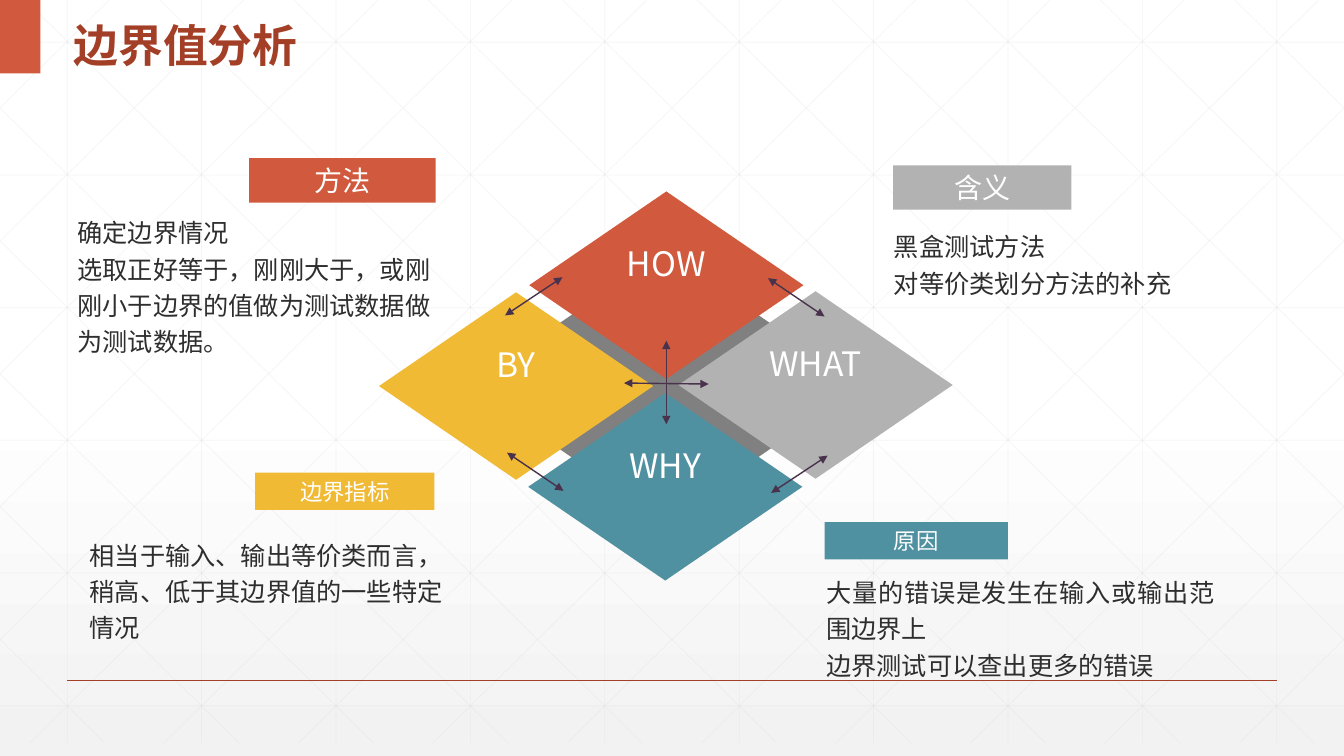
from copy import deepcopy
from dataclasses import dataclass

from lxml import etree
from pptx import Presentation
from pptx import util as u
from pptx.dml.color import RGBColor
from pptx.enum import shapes, text
from pptx.oxml.ns import qn

WIDTH, HEIGHT = 13.33, 7.5
RED, GOLD, GREY, TEAL = "D15A3E", "F0BA34", "B2B2B2", "4F91A1"
BRICK, WHITE, INK, PLUM = "A43F27", "FFFFFF", "2D2E2D", "49324C"
SANS, CJK = "Arial", "Noto Sans CJK SC"
RECT, DIAMOND = shapes.MSO_SHAPE.RECTANGLE, shapes.MSO_SHAPE.DIAMOND
LEFT, CENTER, JUSTIFY = text.PP_ALIGN.LEFT, text.PP_ALIGN.CENTER, text.PP_ALIGN.JUSTIFY
TOP, MIDDLE = text.MSO_ANCHOR.TOP, text.MSO_ANCHOR.MIDDLE


@dataclass
class Box:
    x: float
    y: float
    w: float
    h: float


@dataclass
class Style:
    size: int
    color: str
    font: str = CJK
    bold: bool = False
    align: int = CENTER
    anchor: int = MIDDLE
    spacing: float = 1.0


@dataclass
class Tag:
    label: str
    box: Box
    fill: str
    size: int


@dataclass
class Tile:
    label: str
    x: float
    y: float
    fill: str


@dataclass
class Note:
    lines: list[str]
    box: Box
    first_align: int = LEFT


TAGS = [
    Tag("方法", Box(18.53, 20.93, 13.88, 5.87), RED, 20),
    Tag("原因", Box(61.35, 69.07, 13.65, 4.93), TEAL, 16),
    Tag("含义", Box(66.45, 21.87, 13.28, 5.87), GREY, 20),
    Tag("边界指标", Box(18.98, 62.53, 13.35, 4.93), GOLD, 16),
]
TILE_W, TILE_H = 20.4, 24.8
CAPTION_W, CAPTION_H, CAPTION_DROP = 9.45, 6.67, 6.13
TILES = [
    Tile("BY", 28.2, 38.67, GOLD),
    Tile("HOW", 39.38, 25.33, RED),
    Tile("WHAT", 50.48, 38.53, GREY),
    Tile("WHY", 39.3, 52, TEAL),
]
NOTES = [
    Note(["黑盒测试方法", "对等价类划分方法的补充"], Box(65.78, 29.2, 27.68, 15.87)),
    Note(["大量的错误是发生在输入或输出范围边界上", "边界测试可以查出更多的错误"],
         Box(60.75, 74.93, 30.38, 20.8), JUSTIFY),
    Note(["相当于输入、输出等价类而言，稍高、低于其边界值的一些特定情况"],
         Box(5.93, 70, 27.98, 15.47)),
    Note(["确定边界情况", "选取正好等于，刚刚大于，或刚刚小于边界的值做为测试数据做为测试数据。"],
         Box(5.03, 27.33, 27.98, 23.73)),
]
ARROWS = [
    (57.38, 65.2, 61.58, 60.27),
    (37.58, 41.73, 41.85, 36.67),
    (37.73, 59.87, 41.93, 64.93),
    (57.15, 36.8, 61.35, 41.87),
    (46.43, 50.67, 52.73, 50.8),
    (49.58, 56.13, 49.58, 45.07),
]
MESH_BOTTOM, MESH_RUN = 98.27, 55.9


def rgb(color: str) -> RGBColor:
    return RGBColor.from_string(color)


def across(share: float) -> int:
    return u.Inches(WIDTH * share / 100)


def down(share: float) -> int:
    return u.Inches(HEIGHT * share / 100)


def place(box: Box) -> tuple[int, int, int, int]:
    return across(box.x), down(box.y), across(box.w), down(box.h)


def set_alpha(parent, percent: int) -> None:
    for clr in parent.iter(qn("a:srgbClr")):
        etree.SubElement(clr, qn("a:alpha")).set("val", str(percent * 1000))


def write(sp, lines: list[str], style: Style) -> None:
    tf = sp.text_frame
    tf.text = "\n".join(lines)
    tf.word_wrap = True
    tf.vertical_anchor = style.anchor
    for p in tf.paragraphs:
        p.alignment = style.align
        p.line_spacing = style.spacing
        for r in p.runs:
            r.font.name, r.font.size, r.font.bold = style.font, u.Pt(style.size), style.bold
            r.font.color.rgb = rgb(style.color)
            if style.font == CJK:
                etree.SubElement(r._r.get_or_add_rPr(), qn("a:ea")).set("typeface", CJK)


def add_block(s, kind: int, box: Box, fill: str):
    sp = s.shapes.add_shape(kind, *place(box))
    sp.shadow.inherit = False
    sp.fill.solid()
    sp.fill.fore_color.rgb = rgb(fill)
    sp.line.fill.background()
    return sp


def add_text(s, box: Box, lines: list[str], style: Style):
    sp = s.shapes.add_textbox(*place(box))
    write(sp, lines, style)
    return sp


def add_line(s, x1: float, y1: float, x2: float, y2: float, color: str, width: float = 1):
    cx = s.shapes.add_connector(shapes.MSO_CONNECTOR.STRAIGHT,
                                across(x1), down(y1), across(x2), down(y2))
    cx.line.color.rgb = rgb(color)
    cx.line.width = u.Pt(width)
    etree.SubElement(cx.element.spPr, qn("a:effectLst"))
    return cx


def paint_background(s) -> None:
    fill = s.background.fill
    fill.gradient()
    fill.gradient_angle = 270
    stops = next(s.element.iter(qn("a:gsLst")))
    stops.insert(1, deepcopy(stops[0]))
    for stop, position, color in zip(fill.gradient_stops, (0, 0.53, 1), (WHITE, WHITE, "F2F2F2")):
        stop.position = position
        stop.color.rgb = rgb(color)
    set_alpha(stops[2], 65)


def draw_mesh(s) -> None:
    mesh = [(5 + 10 * i, 0, 5 + 10 * i, MESH_BOTTOM) for i in range(10)]
    mesh += [(0, 5.6 + 17.55 * i, 100, 5.6 + 17.55 * i) for i in range(6)]
    slope = MESH_BOTTOM / MESH_RUN
    for i in range(-5, 10):
        start = 1.88 + 10 * i
        x1, x2 = max(start, 0), min(start + MESH_RUN, 100)
        y1, y2 = (x1 - start) * slope, (x2 - start) * slope
        mesh += [(x1, y1, x2, y2), (100 - x1, y1, 100 - x2, y2)]
    for ends in mesh:
        set_alpha(add_line(s, *ends, "D9D9D9", 0.5).element, 25)


def main() -> None:
    prs = Presentation()
    prs.slide_width, prs.slide_height = u.Inches(WIDTH), u.Inches(HEIGHT)
    s = prs.slides.add_slide(prs.slide_layouts[6])
    paint_background(s)
    draw_mesh(s)
    add_line(s, 5, 90, 95, 90, BRICK)
    add_block(s, RECT, Box(0, 0, 3, 9.73), RED)
    add_text(s, Box(4.73, 0, 42.68, 9.73), ["边界值分析"],
             Style(32, BRICK, SANS, True, LEFT, MIDDLE, 1.3))
    add_block(s, DIAMOND, Box(34.8, 33.2, 29.33, 35.73), "808080")
    for tag in TAGS:
        write(add_block(s, RECT, tag.box, tag.fill), [tag.label], Style(tag.size, WHITE))
    for tile in TILES:
        add_block(s, DIAMOND, Box(tile.x, tile.y, TILE_W, TILE_H), tile.fill)
        caption = Box(tile.x + (TILE_W - CAPTION_W) / 2, tile.y + CAPTION_DROP, CAPTION_W, CAPTION_H)
        add_text(s, caption, [tile.label], Style(24, WHITE))
    for note in NOTES:
        sp = add_text(s, note.box, note.lines, Style(18, INK, SANS, False, LEFT, TOP, 1.2))
        sp.text_frame.paragraphs[0].alignment = note.first_align
    for ends in ARROWS:
        ln = add_line(s, *ends, PLUM).line._get_or_add_ln()
        for end in ("a:headEnd", "a:tailEnd"):
            etree.SubElement(ln, qn(end)).set("type", "triangle")
    prs.save("out.pptx")


if __name__ == "__main__":
    main()
